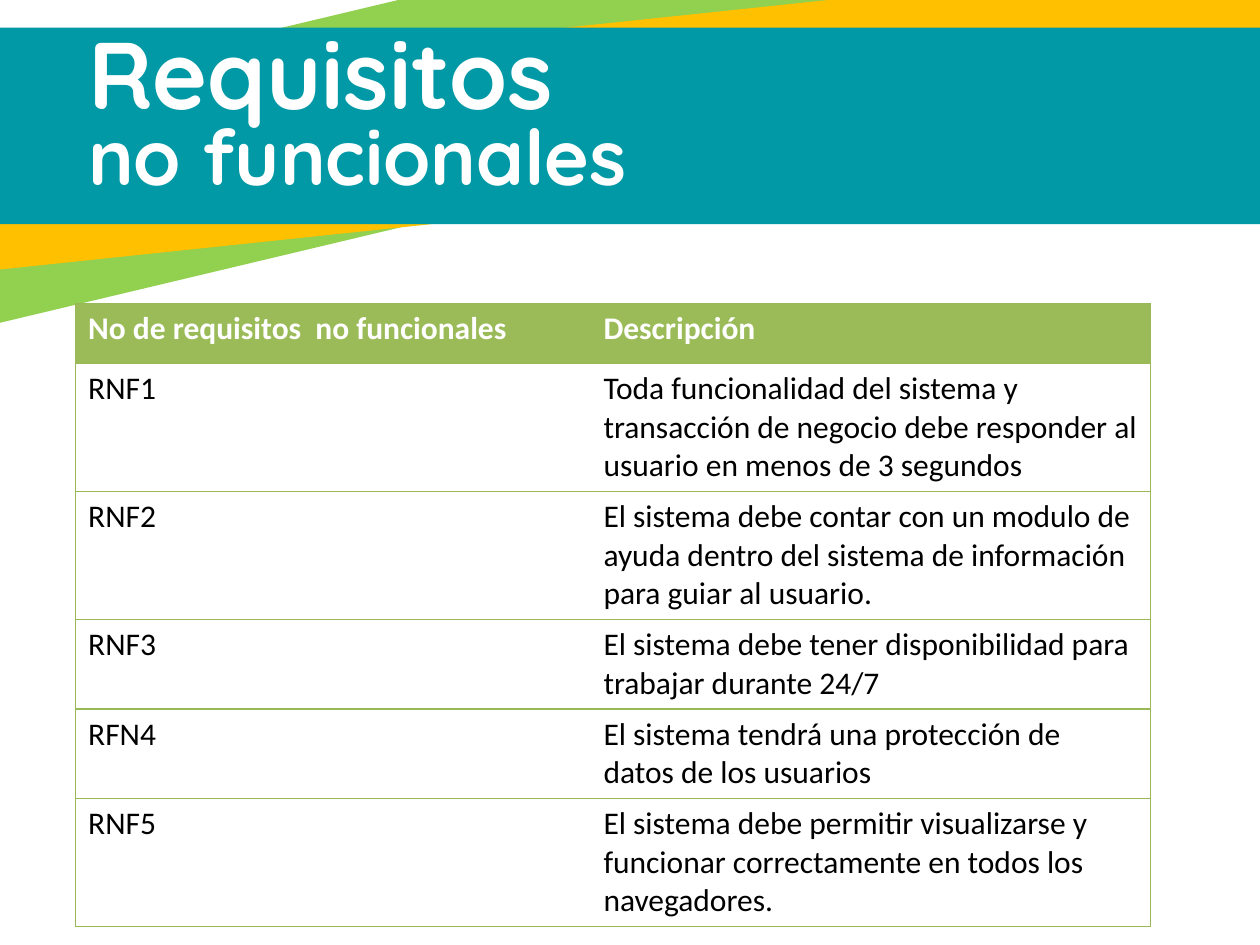
from dataclasses import dataclass

from lxml import etree
from pptx import Presentation
from pptx import util as u
from pptx.dml.color import RGBColor
from pptx.enum import shapes, text
from pptx.oxml import ns


@dataclass(frozen=True)
class Theme:
    lime: str = "92D050"
    amber: str = "FFC000"
    teal: str = "0099A5"
    header: str = "9BBB59"
    rule: str = "98B955"
    white: str = "FFFFFF"
    black: str = "000000"
    title_font: str = "Quicksand"
    body_font: str = "Calibri"
    title_size: int = 54
    subtitle_size: int = 44
    body_size: int = 18
    rule_width: float = 0.75


def write(frame, words, *, font, size, color, bold=False):
    """Put one formatted paragraph in a text frame."""
    span = frame.paragraphs[0].add_run()
    span.text = words
    span.font.name = font
    span.font.size = u.Pt(size)
    span.font.bold = bold
    span.font.color.rgb = RGBColor.from_string(color)


class SlideBuilder:
    """Draws on a grid of 100 columns by 75 rows."""

    COLUMNS, ROWS = 100, 75

    def __init__(self, deck, theme):
        self.theme = theme
        self.page = deck.slides.add_slide(deck.slide_layouts[6])
        self.column = deck.slide_width / self.COLUMNS
        self.row = deck.slide_height / self.ROWS

    def place(self, left, top, width, height):
        return (round(left * self.column), round(top * self.row),
                round(width * self.column), round(height * self.row))

    def band(self, area, color, rotation=0):
        box = self.page.shapes.add_shape(shapes.MSO_SHAPE.RECTANGLE, *self.place(*area))
        box.shadow.inherit = False
        box.fill.solid()
        box.fill.fore_color.rgb = RGBColor.from_string(color)
        box.line.fill.background()
        box.rotation = rotation

    def heading(self, area, words, size):
        frame = self.page.shapes.add_textbox(*self.place(*area)).text_frame
        frame.word_wrap = True
        frame.vertical_anchor = text.MSO_ANCHOR.MIDDLE
        write(frame, words, font=self.theme.title_font, size=size,
              color=self.theme.white, bold=True)

    def border(self, cell, side, visible):
        line = etree.SubElement(cell._tc.get_or_add_tcPr(), ns.qn(f"a:ln{side}"),
                                w=str(u.Pt(self.theme.rule_width)))
        if visible:
            fill = etree.SubElement(line, ns.qn("a:solidFill"))
            etree.SubElement(fill, ns.qn("a:srgbClr"), val=self.theme.rule)
        else:
            etree.SubElement(line, ns.qn("a:noFill"))

    def table(self, left, top, widths, heights, rows):
        area = self.place(left, top, sum(widths), sum(heights))
        grid = self.page.shapes.add_table(len(rows), len(widths), *area).table
        grid.horz_banding = False
        for column, width in zip(grid.columns, widths):
            column.width = round(width * self.column)
        for row, height in zip(grid.rows, heights):
            row.height = round(height * self.row)
        last = len(widths) - 1
        for r, entries in enumerate(rows):
            for c, words in enumerate(entries):
                self.cell(grid.cell(r, c), words, header=r == 0,
                          sides={"L": c == 0, "R": c == last, "T": True, "B": True})

    def cell(self, cell, words, header, sides):
        for side, visible in sides.items():
            self.border(cell, side, visible)
        if header:
            cell.fill.solid()
            cell.fill.fore_color.rgb = RGBColor.from_string(self.theme.header)
        else:
            cell.fill.background()
        write(cell.text_frame, words, font=self.theme.body_font,
              size=self.theme.body_size, bold=header,
              color=self.theme.white if header else self.theme.black)


REQUIREMENTS = [
    ("No de requisitos  no funcionales", "Descripción"),
    ("RNF1", "Toda funcionalidad del sistema y transacción de negocio debe "
             "responder al usuario en menos de 3 segundos"),
    ("RNF2", "El sistema debe contar con un modulo de ayuda dentro del sistema "
             "de información para guiar al usuario."),
    ("RNF3", "El sistema debe tener disponibilidad para trabajar durante 24/7"),
    ("RFN4", "El sistema tendrá una protección de datos de los usuarios"),
    ("RNF5", "El sistema debe permitir visualizarse y funcionar correctamente "
             "en todos los navegadores."),
]


def main():
    theme = Theme()
    deck = Presentation()
    deck.slide_width, deck.slide_height = u.Inches(10), u.Inches(7.5)
    slide = SlideBuilder(deck, theme)

    # Crossed bands behind the title
    slide.band((-25.1, -1.8, 130.6, 17.6), theme.lime, rotation=346.6)
    slide.band((-11, 2, 116.3, 14.4), theme.amber, rotation=354)
    slide.band((-10.6, 2.2, 116.3, 15.6), theme.teal)

    # Requirements table: row heights follow the number of text lines
    header, two_lines, three_lines = 4.75, 7.1, 10.15
    slide.table(6, 24.1, widths=(40.9, 44.4), rows=REQUIREMENTS,
                heights=(header, three_lines, three_lines,
                         two_lines, two_lines, three_lines))

    # Title
    slide.heading((6, 3.3, 54.5, 4.8), "Requisitos", theme.title_size)
    slide.heading((6, 9.9, 46.8, 4.8), "no funcionales", theme.subtitle_size)

    deck.save("out.pptx")


if __name__ == "__main__":
    main()
